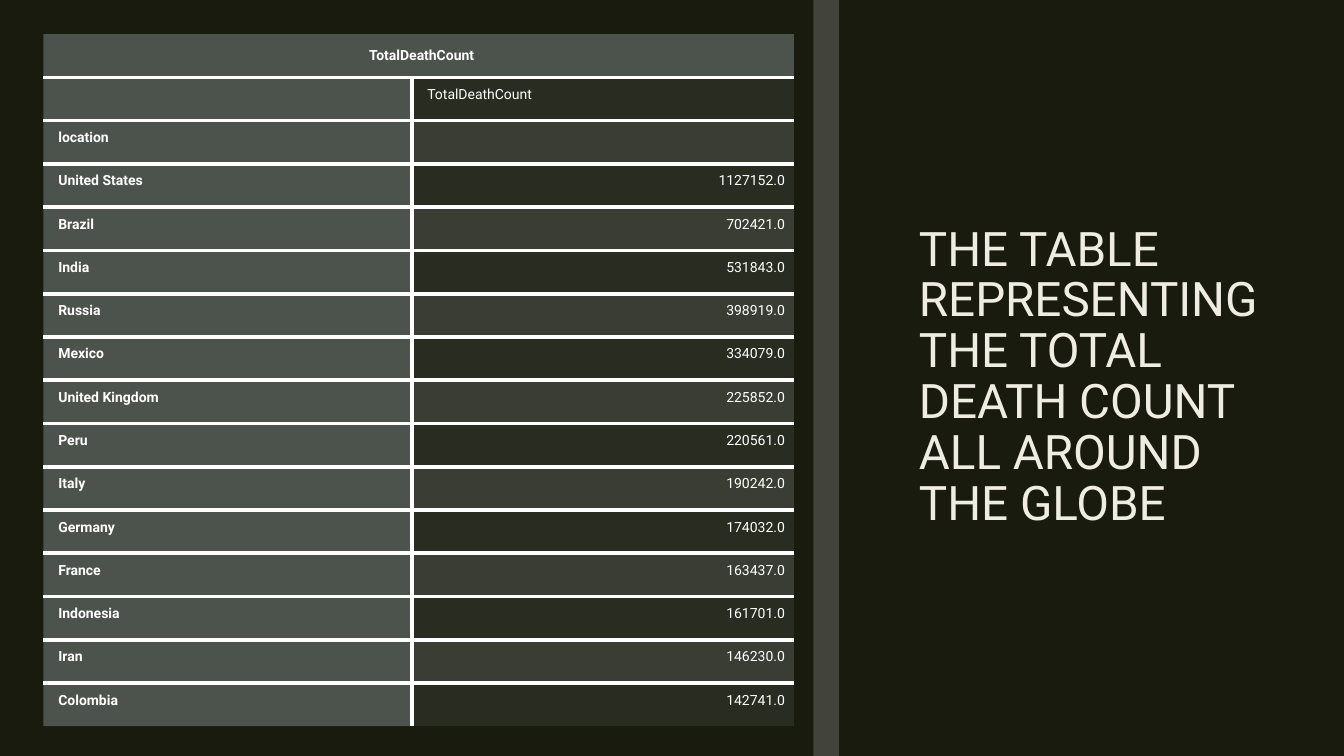
"""Builds a slide with a table of total death counts by country."""
from lxml.etree import SubElement
from pptx import Presentation
from pptx.dml.color import RGBColor
from pptx.enum.shapes import MSO_SHAPE
from pptx.enum.text import MSO_ANCHOR, PP_ALIGN
from pptx.oxml import parse_xml
from pptx.oxml.ns import nsdecls, qn
from pptx.util import Cm, Pt

LEFT, CENTER, RIGHT = PP_ALIGN.LEFT, PP_ALIGN.CENTER, PP_ALIGN.RIGHT
MIDDLE, TOP = MSO_ANCHOR.MIDDLE, MSO_ANCHOR.TOP
RECTANGLE = MSO_SHAPE.RECTANGLE

TITLE = "THE TABLE REPRESENTING THE TOTAL DEATH COUNT ALL AROUND THE GLOBE"
ROWS = [
    ("TotalDeathCount", ""),
    ("", "TotalDeathCount"),
    ("location", ""),
    ("United States", "1127152.0"),
    ("Brazil", "702421.0"),
    ("India", "531843.0"),
    ("Russia", "398919.0"),
    ("Mexico", "334079.0"),
    ("United Kingdom", "225852.0"),
    ("Peru", "220561.0"),
    ("Italy", "190242.0"),
    ("Germany", "174032.0"),
    ("France", "163437.0"),
    ("Indonesia", "161701.0"),
    ("Iran", "146230.0"),
    ("Colombia", "142741.0"),
]
FONT = "Roboto"
BACKGROUND, CREAM, WHITE = "191B0E", "EFEDE3", "FFFFFF"
LABEL_FILL, VALUE_FILL, BAR_FILL = "636B68", "878E8B", "808080"
COLUMN_WIDTHS = (9.3, 9.62)
ROW_HEIGHT = 1.09
BORDER_WIDTH = 3


def color(value):
    return RGBColor.from_string(value)


def paint(fill, properties, value, opacity):
    fill.solid()
    fill.fore_color.rgb = color(value)
    tone = next(properties.iter(qn("a:srgbClr")))
    SubElement(tone, qn("a:alpha"), val=str(opacity * 1000))


def write(frame, text, size, tint, bold=False, align=LEFT, spacing=None):
    para = frame.paragraphs[0]
    para.alignment = align
    if spacing:
        para.line_spacing = spacing
    if not text:
        SubElement(para._p, qn("a:endParaRPr"), sz=str(size * 100))
        return
    span = para.add_run()
    span.text = text
    span.font.name = FONT
    span.font.size = Pt(size)
    span.font.bold = bold
    span.font.color.rgb = color(tint)


def set_borders(properties, sides):
    for position, side in enumerate("LRTB"):
        paint_xml = "<a:noFill/>"
        if side in sides:
            paint_xml = f'<a:solidFill><a:srgbClr val="{WHITE}"/></a:solidFill>'
        properties.insert(position, parse_xml(
            f'<a:ln{side} {nsdecls("a")} w="{Pt(BORDER_WIDTH)}">{paint_xml}</a:ln{side}>'))


def add_death_table(page):
    frame = page.shapes.add_table(len(ROWS), 2, Cm(1.09), Cm(0.86),
                                  Cm(sum(COLUMN_WIDTHS)), Cm(ROW_HEIGHT * len(ROWS)))
    table = frame.table
    table.first_row = table.horz_banding = False
    for column, width in zip(table.columns, COLUMN_WIDTHS):
        column.width = Cm(width)
    table.cell(0, 0).merge(table.cell(0, 1))
    for row, texts in enumerate(ROWS):
        table.rows[row].height = Cm(ROW_HEIGHT)
        header = row == 0
        for column, text in enumerate(texts):
            cell = table.cell(row, column)
            cell.margin_left = Cm(0.38)
            cell.margin_right = cell.margin_top = cell.margin_bottom = Cm(0.23)
            cell.vertical_anchor = MIDDLE if header else TOP
            label = header or column == 0
            align = CENTER if header else RIGHT if column and row > 1 else LEFT
            write(cell.text_frame, text, 10, WHITE, bold=label, align=align)
            properties = cell._tc.get_or_add_tcPr()
            if label:
                paint(cell.fill, properties, LABEL_FILL, 70)
            else:
                paint(cell.fill, properties, VALUE_FILL, 15 if row % 2 else 30)
            sides = "" if header else "T" + "RL"[column]
            if row < len(ROWS) - 1:
                sides += "B"
            set_borders(properties, sides)


def main():
    deck = Presentation()
    deck.slide_width, deck.slide_height = Cm(33.87), Cm(19.05)
    page = deck.slides.add_slide(deck.slide_layouts[6])
    page.background.fill.solid()
    page.background.fill.fore_color.rgb = color(BACKGROUND)

    box = page.shapes.add_textbox(Cm(22.91), Cm(1.78), Cm(9.17), Cm(15.49))
    box.text_frame.word_wrap = True
    box.text_frame.vertical_anchor = MIDDLE
    write(box.text_frame, TITLE, 34, CREAM, spacing=0.89)

    bar = page.shapes.add_shape(RECTANGLE, Cm(20.5), 0, Cm(0.64), deck.slide_height)
    bar.shadow.inherit = False
    bar.line.fill.background()
    paint(bar.fill, bar._element.spPr, BAR_FILL, 40)

    add_death_table(page)
    deck.save("out.pptx")


if __name__ == "__main__":
    main()
